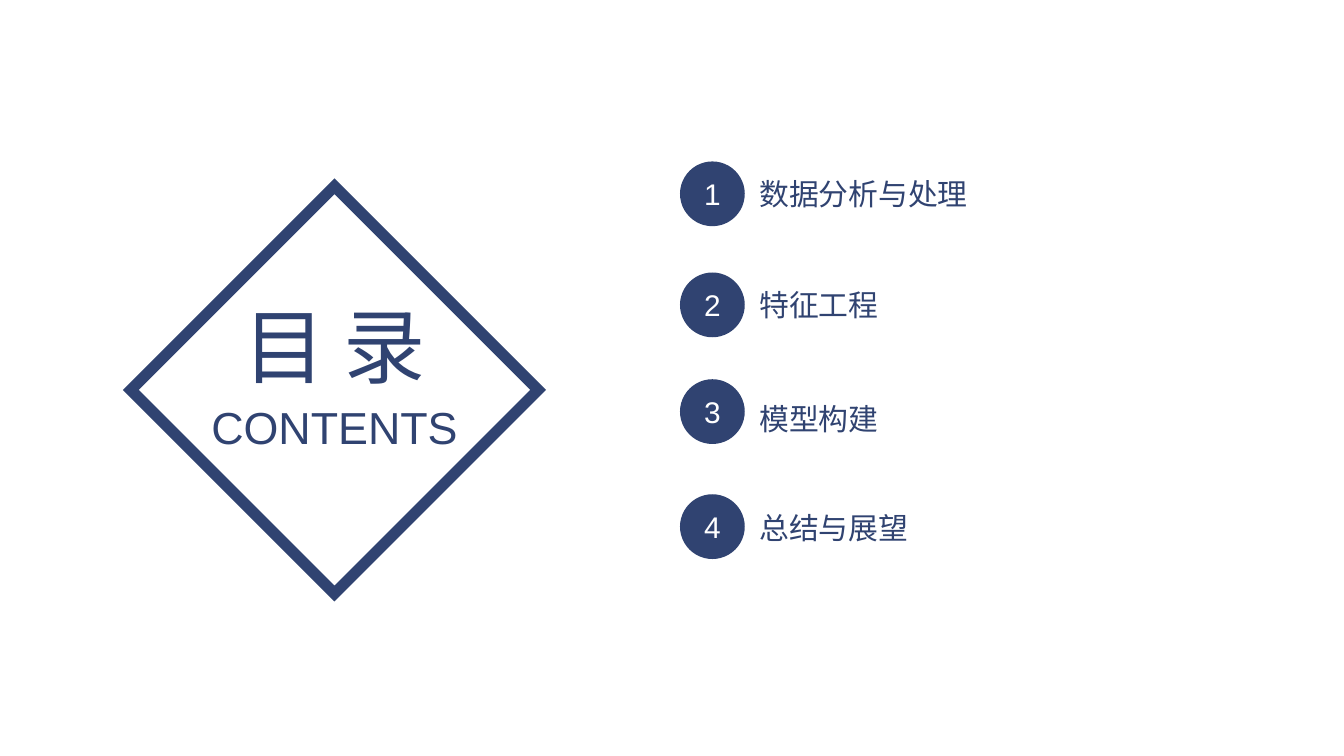
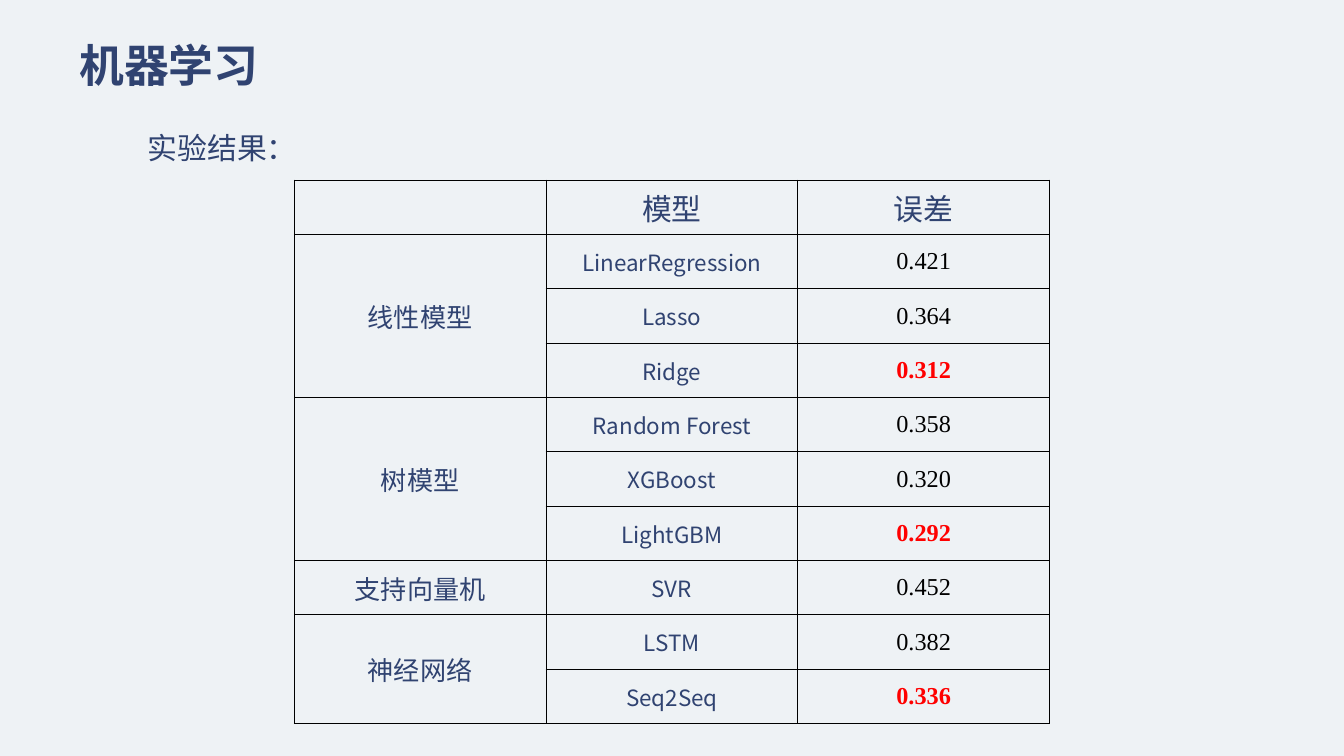
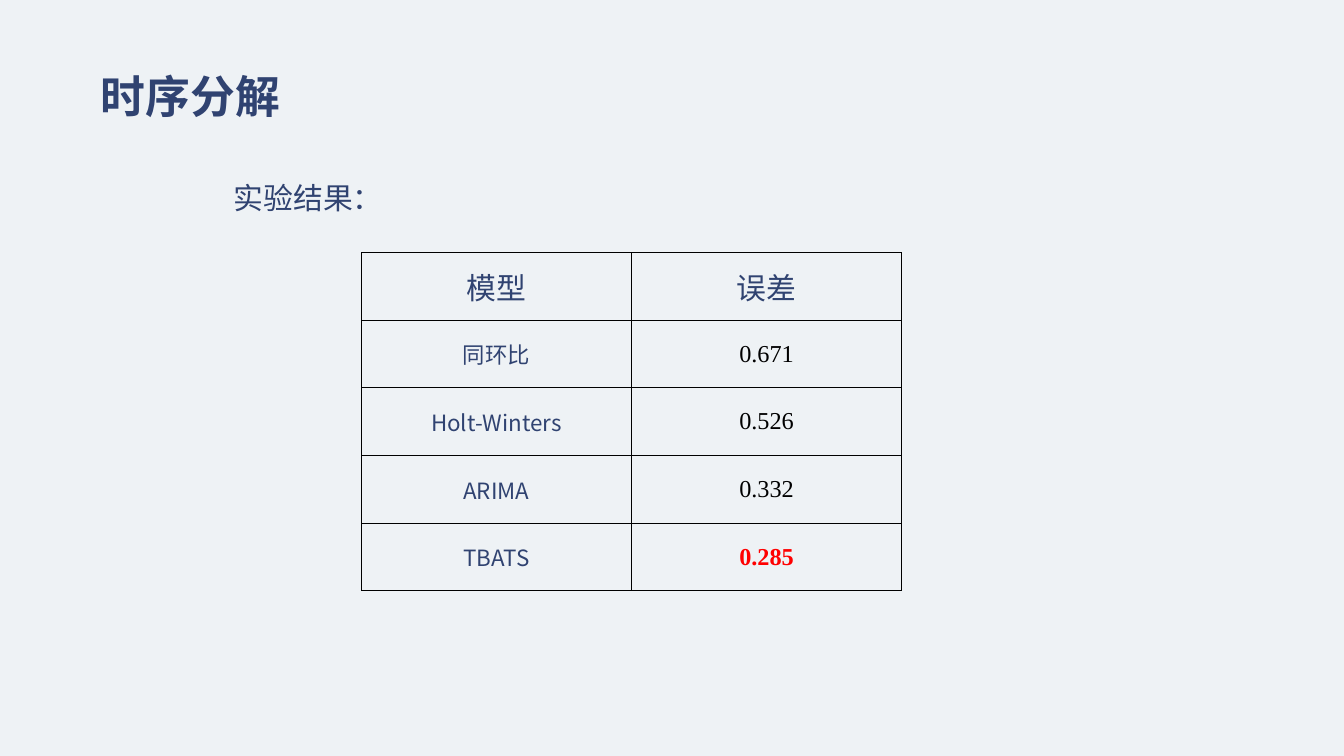
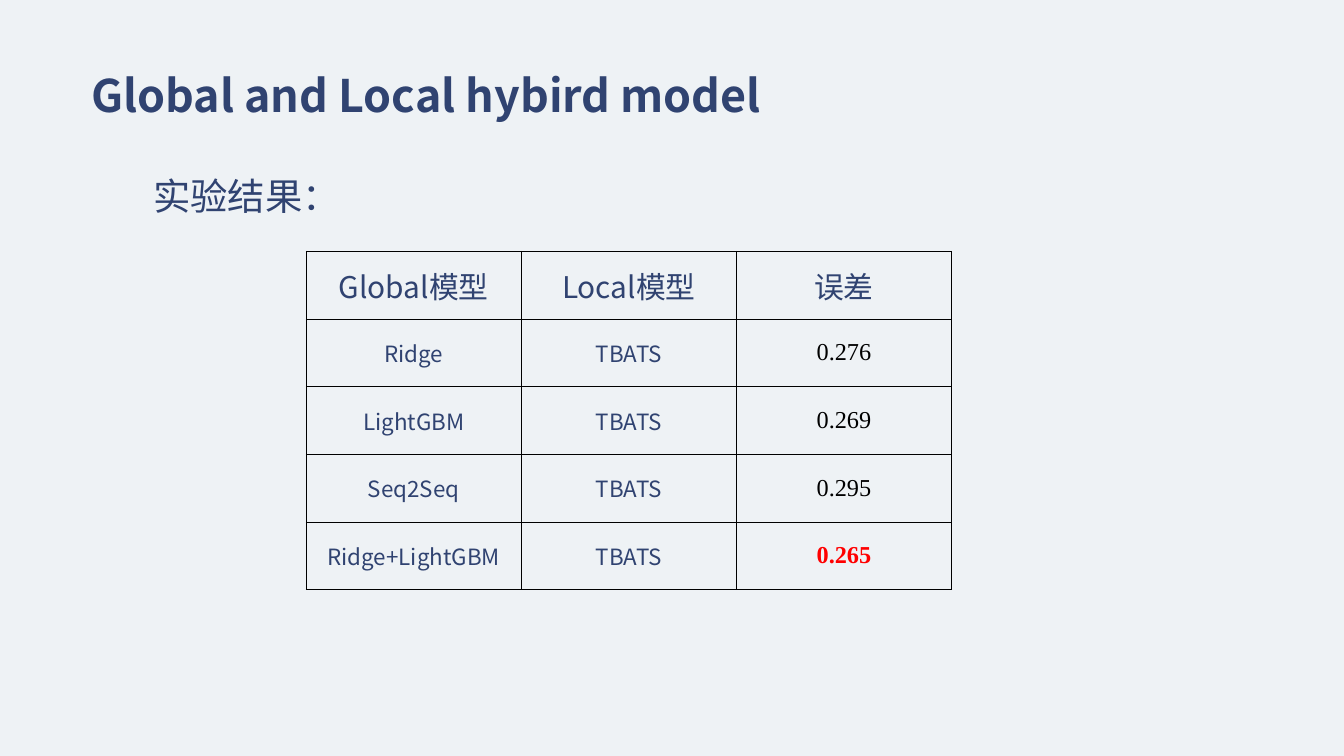
from lxml.etree import SubElement
from pptx import Presentation
from pptx.dml.color import RGBColor
from pptx.enum.shapes import MSO_SHAPE
from pptx.enum.text import MSO_ANCHOR, MSO_AUTO_SIZE, PP_ALIGN
from pptx.oxml.ns import qn
from pptx.util import Pt

NAVY, WHITE, PALE = "304371", "FFFFFF", "EEF2F5"
BLACK, RED = "000000", "FF0000"
CJK, LATIN, SERIF = "Noto Sans CJK SC", "Arial", "Times New Roman"
BORDER_WIDTH = 0.45


def color(hex_code):
    """Turn a hex string into a colour."""
    return RGBColor.from_string(hex_code)


def points(*lengths):
    """Turn numbers of points into lengths."""
    return [Pt(length) for length in lengths]


def write(frame, text, size, font=CJK, ink=NAVY, bold=False, align=PP_ALIGN.LEFT):
    """Put one formatted paragraph into a text frame and return it."""
    frame.text = text
    paragraph = frame.paragraphs[0]
    paragraph.alignment = align
    for run in paragraph.runs:
        run.font.size, run.font.bold, run.font.name = Pt(size), bold, font
        run.font.color.rgb = color(ink)
        east_asian = run.font._element.makeelement(qn("a:ea"), typeface=font)
        run.font._element.find(qn("a:latin")).addnext(east_asian)
    return paragraph


def fit(frame, wrap=False):
    """Let a top-anchored frame grow with its text."""
    frame.word_wrap = wrap
    frame.auto_size = MSO_AUTO_SIZE.SHAPE_TO_FIT_TEXT
    frame.vertical_anchor = MSO_ANCHOR.TOP


def move(shape, box):
    """Place a shape in a box given in points."""
    shape.left, shape.top, shape.width, shape.height = points(*box)


def add_label(slide, box, text, size, **style):
    """Add an unwrapped line of text."""
    label = slide.shapes.add_textbox(*points(*box))
    fit(label.text_frame)
    write(label.text_frame, text, size, **style)


def add_title(slide, box, text, size=24, left_margin=7.2, **style):
    """Move and format the slide title, leaving room for a single line."""
    title = slide.shapes.title
    move(title, box)
    fit(title.text_frame)
    title.text_frame.margin_left = Pt(left_margin)
    title.text_frame.margin_right = Pt(0)
    write(title.text_frame, text, size, **style)


def add_slide(deck, layout, background):
    """Add a slide with a plain background."""
    slide = deck.slides.add_slide(deck.slide_layouts.get_by_name(layout))
    slide.background.fill.solid()
    slide.background.fill.fore_color.rgb = color(background)
    return slide


def add_emblem(slide, box):
    """Draw the diamond with the bilingual heading inside it."""
    left, top, width, height = box
    diamond = slide.shapes.add_shape(MSO_SHAPE.DIAMOND, *points(*box))
    diamond.shadow.inherit = False
    diamond.fill.background()
    diamond.line.color.rgb = color(NAVY)
    diamond.line.width = Pt(6)
    SubElement(diamond.line._get_or_add_ln(), qn("a:miter"), lim="800000")
    add_title(slide, (left + 53, top + 54.7, width - 106, 60.5), "目 录", 44,
              left_margin=0, align=PP_ALIGN.CENTER)
    add_label(slide, (left + 36, top + 110.9, width - 72, 36), "CONTENTS", 24,
              font=LATIN, align=PP_ALIGN.CENTER)


def add_chapter(slide, left, top, number, name, label_offset):
    """Draw a numbered disc with its chapter name."""
    disc = slide.shapes.add_shape(MSO_SHAPE.OVAL, *points(left, top, 34.7, 34.7))
    disc.shadow.inherit = False
    disc.fill.solid()
    disc.fill.fore_color.rgb = color(NAVY)
    disc.line.fill.background()
    disc.text_frame.vertical_anchor = MSO_ANCHOR.MIDDLE
    write(disc.text_frame, str(number), 16, font=LATIN, ink=WHITE,
          align=PP_ALIGN.CENTER)
    label_width = 16 * len(name) + 14.4
    add_label(slide, (left + 35.4, top + label_offset, label_width, 26.6), name, 16)


def contents_slide(deck, chapters):
    """Build the table of contents."""
    slide = add_slide(deck, "Title Only", WHITE)
    add_emblem(slide, (70.1, 99.8, 218.2, 218.2))
    for number, (name, top, label_offset) in enumerate(chapters, 1):
        add_chapter(slide, 364.3, top, number, name, label_offset)


def add_caption(slide, box, text, size):
    """Format the body placeholder as an unbulleted caption."""
    caption = slide.placeholders[1]
    move(caption, box)
    fit(caption.text_frame, wrap=True)
    paragraph = write(caption.text_frame, text, size)
    paragraph.line_spacing = 1.5
    paragraph.space_before = Pt(0)
    properties = paragraph._p.get_or_add_pPr()
    properties.set("marL", "0")
    properties.set("indent", "0")
    SubElement(properties, qn("a:buNone"))


def add_borders(cell):
    """Outline a cell with thin black lines."""
    properties = cell._tc.get_or_add_tcPr()
    for side in ("a:lnL", "a:lnR", "a:lnT", "a:lnB"):
        line = SubElement(properties, qn(side), w=str(Pt(BORDER_WIDTH)))
        SubElement(SubElement(line, qn("a:solidFill")), qn("a:srgbClr"), val=BLACK)


def cell_style(row, column, columns, text, best, grouped):
    """Choose the text style of a cell from its place in the table."""
    if row == 0:
        return {"size": 16}
    if column == columns - 1:
        is_best = text in best
        return {"size": 13, "font": SERIF, "bold": is_best,
                "ink": RED if is_best else BLACK}
    return {"size": 14 if grouped and column == 0 else 12}


def add_results(slide, box, rows, best, grouped):
    """Add a results table, merging each None with the cell above it."""
    columns = len(rows[0])
    table = slide.shapes.add_table(len(rows), columns, *points(*box)).table
    table.first_row = table.horz_banding = False
    for row in table.rows:
        row.height = Pt(box[3] / len(rows))
    for r, values in enumerate(rows):
        for c, value in enumerate(values):
            cell = table.cell(r, c)
            add_borders(cell)
            cell.fill.background()
            cell.vertical_anchor = MSO_ANCHOR.MIDDLE
            cell.margin_top = cell.margin_bottom = Pt(2)
            if value:
                write(cell.text_frame, value, align=PP_ALIGN.CENTER,
                      **cell_style(r, c, columns, value, best, grouped))
    starts = [r for r, values in enumerate(rows) if values[0] is not None]
    for start, following in zip(starts, starts[1:] + [len(rows)]):
        if following - start > 1:
            table.cell(start, 0).merge(table.cell(following - 1, 0))


def results_slide(deck, title, title_box, caption_box, table_box, rows, best,
                  caption_size=16, grouped=False):
    """Build a slide with a title, a caption and a table of errors."""
    slide = add_slide(deck, "Title and Content", PALE)
    add_title(slide, title_box, title, bold=True)
    add_caption(slide, caption_box, "实验结果：", caption_size)
    add_results(slide, table_box, rows, best, grouped)


CHAPTERS = [
    ("数据分析与处理", 86.5, 4.2),
    ("特征工程", 146, 3.8),
    ("模型构建", 203.2, 7.8),
    ("总结与展望", 264.8, 4.5),
]
MACHINE_LEARNING = [
    ("", "模型", "误差"),
    ("线性模型", "LinearRegression", "0.421"),
    (None, "Lasso", "0.364"),
    (None, "Ridge", "0.312"),
    ("树模型", "Random Forest", "0.358"),
    (None, "XGBoost", "0.320"),
    (None, "LightGBM", "0.292"),
    ("支持向量机", "SVR", "0.452"),
    ("神经网络", "LSTM", "0.382"),
    (None, "Seq2Seq", "0.336"),
]
DECOMPOSITION = [
    ("模型", "误差"),
    ("同环比", "0.671"),
    ("Holt-Winters", "0.526"),
    ("ARIMA", "0.332"),
    ("TBATS", "0.285"),
]
HYBRID = [
    ("Global模型", "Local模型", "误差"),
    ("Ridge", "TBATS", "0.276"),
    ("LightGBM", "TBATS", "0.269"),
    ("Seq2Seq", "TBATS", "0.295"),
    ("Ridge+LightGBM", "TBATS", "0.265"),
]


def main():
    """Build and save the deck."""
    deck = Presentation()
    deck.slide_width, deck.slide_height = points(720, 405)
    contents_slide(deck, CHAPTERS)
    results_slide(deck, "机器学习", (35.3, 16.6, 110.2, 36), (72, 56.2, 523.4, 36),
                  (157.7, 96.5, 404.6, 291.2), MACHINE_LEARNING,
                  {"0.312", "0.292", "0.336"}, grouped=True)
    results_slide(deck, "时序分解", (46.8, 33.1, 110.2, 36), (118.1, 82.8, 523.4, 36),
                  (193.6, 135.2, 289.4, 181.4), DECOMPOSITION, {"0.285"})
    results_slide(deck, "Global and Local hybird model", (41.6, 32.5, 377.3, 36),
                  (74.9, 77, 523.4, 43.2), (164.1, 134.6, 345.6, 181.4), HYBRID,
                  {"0.265"}, caption_size=20)
    deck.save("out.pptx")


if __name__ == "__main__":
    main()
